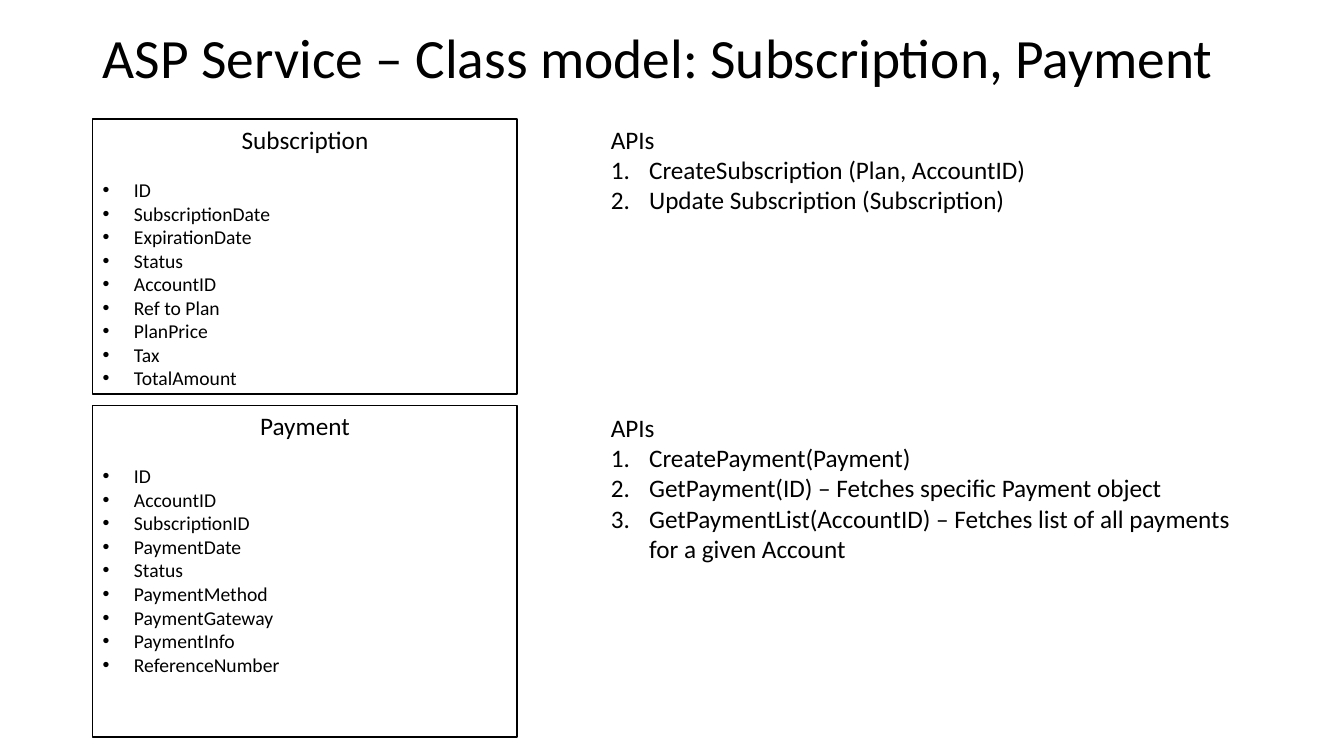
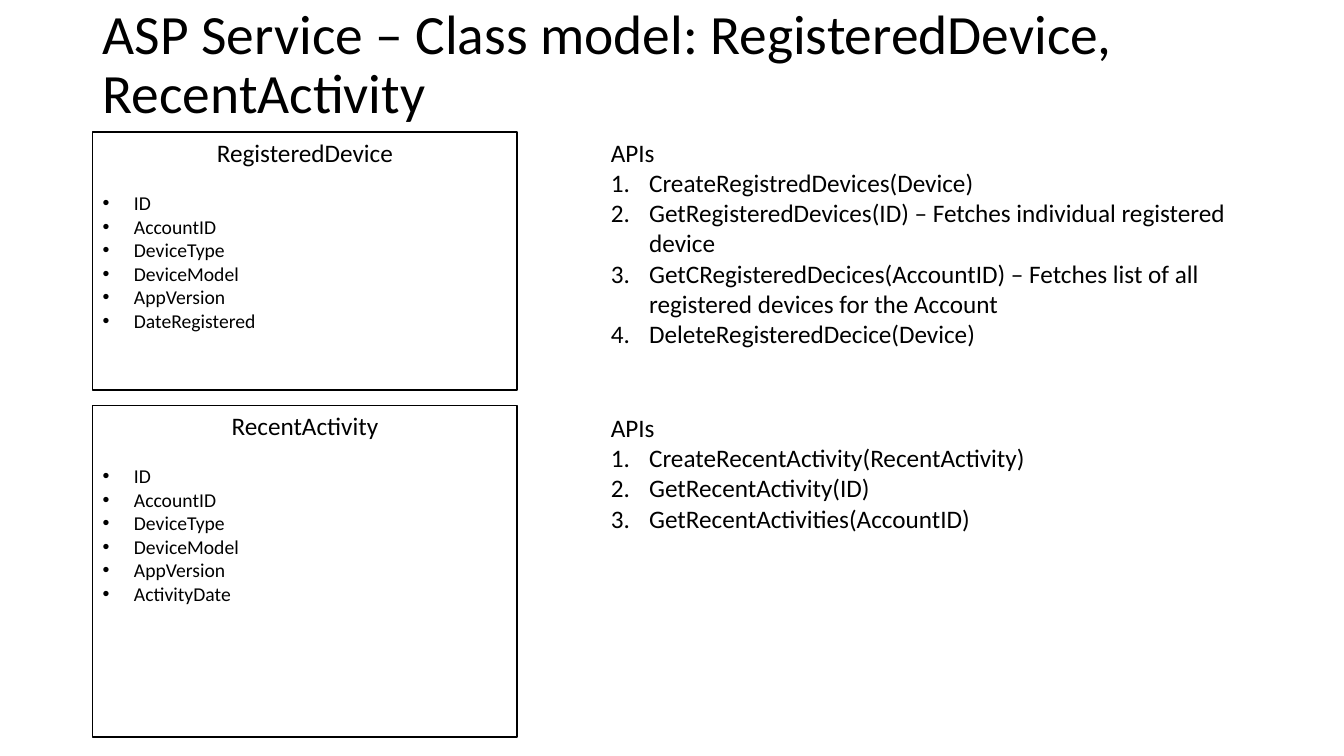
from dataclasses import dataclass

from lxml import etree
from pptx import Presentation
from pptx.dml.color import RGBColor
from pptx.enum.shapes import MSO_SHAPE
from pptx.enum.text import MSO_ANCHOR, MSO_AUTO_SIZE, PP_ALIGN
from pptx.oxml.ns import qn
from pptx.util import Inches, Pt

RECTANGLE = MSO_SHAPE.RECTANGLE
TOP, MIDDLE = MSO_ANCHOR.TOP, MSO_ANCHOR.MIDDLE
LEFT, CENTER = PP_ALIGN.LEFT, PP_ALIGN.CENTER
NO_FIT = MSO_AUTO_SIZE.NONE
TITLE_ONLY = 5


@dataclass(frozen=True)
class Theme:
    font: str = "Calibri"
    ink: RGBColor = RGBColor(0, 0, 0)
    title_size: float = 39.6
    heading_size: float = 18
    field_size: float = 14
    outline: float = 1
    field_indent: float = 0.31
    number_indent: float = 0.38


THEME = Theme()

# Grid, in inches
CLASS_LEFT, CLASS_WIDTH = 0.92, 4.21
API_LEFT, API_WIDTH = 5.96, 6.55
TITLE_HEIGHT = 0.93
LOWER_TOP, LOWER_HEIGHT, LOWER_API_TOP = 4.02, 3.29, 4.04
LINE_HEIGHT, FRAME_MARGIN = 0.3, 0.11

# Bullet elements: tag and attributes
DOT = (("a:buFont", {"typeface": "Arial"}), ("a:buChar", {"char": "•"}))
NUMBER = (("a:buFont", {"typeface": "+mj-lt"}),
          ("a:buAutoNum", {"type": "arabicPeriod"}))


@dataclass(frozen=True)
class ClassPanel:
    name: str
    fields: tuple
    apis: tuple
    api_lines: int
    top: float = LOWER_TOP
    height: float = LOWER_HEIGHT
    api_top: float = LOWER_API_TOP
    api_width: float = API_WIDTH


PAGES = (
    ("ASP Service – Class model: Subscription, Payment", 0.14, 11.5, (
        ClassPanel(
            "Subscription",
            ("ID", "SubscriptionDate", "ExpirationDate", "Status", "AccountID",
             "Ref to Plan", "PlanPrice", "Tax", "TotalAmount"),
            ("CreateSubscription (Plan, AccountID)",
             "Update Subscription (Subscription)"),
            api_lines=4, top=1.18, height=2.73, api_top=1.18, api_width=4.36),
        ClassPanel(
            "Payment",
            ("ID", "AccountID", "SubscriptionID", "PaymentDate", "Status",
             "PaymentMethod", "PaymentGateway", "PaymentInfo",
             "ReferenceNumber"),
            ("CreatePayment(Payment)",
             "GetPayment(ID) – Fetches specific Payment object",
             "GetPaymentList(AccountID) – Fetches list of all payments "
             "for a given Account"),
            api_lines=6),
    )),
    ("ASP Service – Class model: RegisteredDevice, RecentActivity", 0.19, 12.42, (
        ClassPanel(
            "RegisteredDevice",
            ("ID", "AccountID", "DeviceType", "DeviceModel", "AppVersion",
             "DateRegistered"),
            ("CreateRegistredDevices(Device)",
             "GetRegisteredDevices(ID) – Fetches individual registered device",
             "GetCRegisteredDecices(AccountID) – Fetches list of all "
             "registered devices for the Account",
             "DeleteRegisteredDecice(Device)"),
            api_lines=7, top=1.31, height=2.56, api_top=1.31),
        ClassPanel(
            "RecentActivity",
            ("ID", "AccountID", "DeviceType", "DeviceModel", "AppVersion",
             "ActivityDate"),
            ("CreateRecentActivity(RecentActivity)", "GetRecentActivity(ID)",
             "GetRecentActivities(AccountID)"),
            api_lines=5),
    )),
)


def format_paragraph(paragraph, size, align=LEFT):
    paragraph.alignment = align
    for span in paragraph.runs:
        span.font.name = THEME.font
        span.font.size = Pt(size)
        span.font.color.rgb = THEME.ink


def set_bullet(paragraph, bullet, indent):
    properties = paragraph._p.get_or_add_pPr()
    properties.set("marL", str(Inches(indent)))
    properties.set("indent", str(-Inches(indent)))
    for tag, attributes in bullet:
        etree.SubElement(properties, qn(tag), attributes)


def prepare_frame(frame, anchor):
    frame.word_wrap = True
    frame.auto_size = NO_FIT
    frame.vertical_anchor = anchor


def fill_list(frame, heading, items, bullet, indent, size, align=LEFT, gap=0):
    """Write a heading and, after a gap in points, its bulleted items."""
    prepare_frame(frame, TOP)
    frame.text = "\n".join((heading, *items))
    first, *entries = frame.paragraphs
    format_paragraph(first, THEME.heading_size, align)
    for entry in entries:
        set_bullet(entry, bullet, indent)
        format_paragraph(entry, size)
    entries[0].space_before = Pt(gap)


def add_title(page, text, top, width):
    title = page.shapes.title
    title.left, title.top = Inches(CLASS_LEFT), Inches(top)
    title.width, title.height = Inches(width), Inches(TITLE_HEIGHT)
    title.text_frame.text = text
    prepare_frame(title.text_frame, MIDDLE)
    paragraph = title.text_frame.paragraphs[0]
    paragraph.line_spacing = 0.9
    format_paragraph(paragraph, THEME.title_size)


def add_class_box(page, panel):
    box = page.shapes.add_shape(
        RECTANGLE, Inches(CLASS_LEFT), Inches(panel.top),
        Inches(CLASS_WIDTH), Inches(panel.height))
    box.shadow.inherit = False
    box.fill.background()
    box.line.color.rgb = THEME.ink
    box.line.width = Pt(THEME.outline)
    fill_list(box.text_frame, panel.name, panel.fields, DOT,
              THEME.field_indent, THEME.field_size, CENTER, gap=17)


def add_api_list(page, panel):
    height = panel.api_lines * LINE_HEIGHT + FRAME_MARGIN
    box = page.shapes.add_textbox(
        Inches(API_LEFT), Inches(panel.api_top),
        Inches(panel.api_width), Inches(height))
    fill_list(box.text_frame, "APIs", panel.apis, NUMBER,
              THEME.number_indent, THEME.heading_size)


def main():
    deck = Presentation()
    deck.slide_width, deck.slide_height = Inches(13.33), Inches(7.5)
    for title, title_top, title_width, panels in PAGES:
        page = deck.slides.add_slide(deck.slide_layouts[TITLE_ONLY])
        add_title(page, title, title_top, title_width)
        for panel in panels:
            add_class_box(page, panel)
            add_api_list(page, panel)
    deck.save("out.pptx")


if __name__ == "__main__":
    main()
